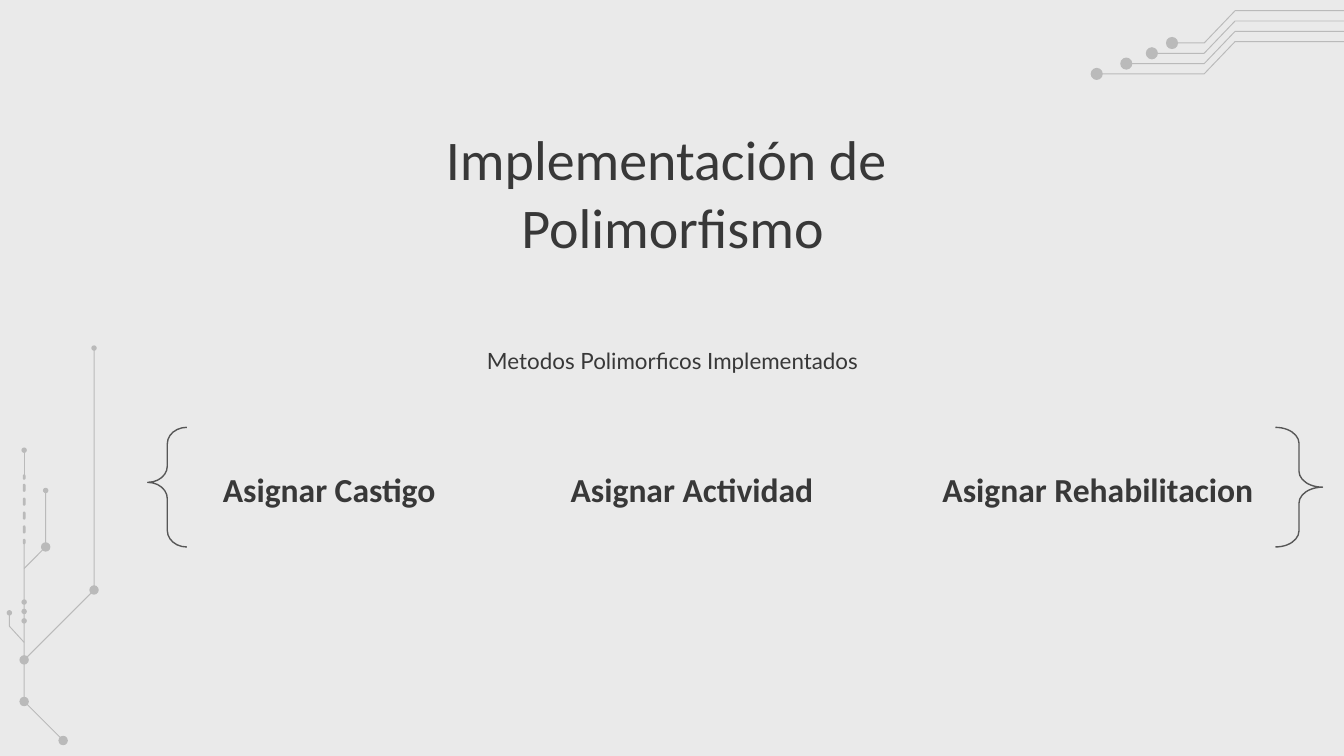
from lxml import etree
from pptx import Presentation, util as u
from pptx.dml.color import RGBColor
from pptx.enum import shapes, text
from pptx.oxml.ns import qn

INK, CIRCUIT, BRACE = "383838", "BABABA", "575757"
STEM_X = 0.18

prs = Presentation()
prs.slide_width = u.Inches(10)
prs.slide_height = u.Inches(10 * 9 / 16)
slide = prs.slides.add_slide(prs.slide_layouts[6])
slide.background.fill.solid()
slide.background.fill.fore_color.rgb = RGBColor.from_string("EAEAEA")


def paint(shape, fill=None, line=None, width=0.5):
    """Set fill and outline; None means none."""
    shape.shadow.inherit = False
    for part, color in ((shape.fill, fill), (shape.line.fill, line)):
        if color:
            part.solid()
            part.fore_color.rgb = RGBColor.from_string(color)
        else:
            part.background()
    if line:
        shape.line.width = u.Pt(width)


def add_text(content, left, top, width, height, size, font="Calibri",
             bold=False, anchor=text.MSO_ANCHOR.TOP):
    box = slide.shapes.add_textbox(*map(u.Inches, (left, top, width, height)))
    frame = box.text_frame
    frame.word_wrap = True
    frame.vertical_anchor = anchor
    frame.margin_left = frame.margin_right = u.Inches(0.1)
    frame.margin_top = frame.margin_bottom = u.Inches(0.1)
    frame.text = content
    paragraph = frame.paragraphs[0]
    paragraph.alignment = text.PP_ALIGN.CENTER
    for run in paragraph.runs:
        run.font.size, run.font.name, run.font.bold = u.Pt(size), font, bold
        run.font.color.rgb = RGBColor.from_string(INK)


# Circuit traces: bent ones as open outlines
traces = [
    [(STEM_X, 4.04), (STEM_X, 5.22), (0.47, 5.51)],
    [(0.07, 4.56), (0.07, 4.66), (STEM_X, 4.78)],
    [(0.34, 3.65), (0.34, 4.07), (STEM_X, 4.23)],
    [(0.7, 2.59), (0.7, 4.39), (STEM_X, 4.91)],
]
# Each node is (x, y, diameter)
nodes = [(x, y, 0.04) for x, y in [
    (STEM_X, 3.35), (0.07, 4.56), (0.34, 3.65), (0.7, 2.59),
    (STEM_X, 4.48), (STEM_X, 4.55), (STEM_X, 4.62)]]
nodes += [(x, y, 0.07) for x, y in [
    (0.47, 5.51), (0.34, 4.07), (STEM_X, 5.22), (0.7, 4.39), (STEM_X, 4.91)]]

for row, start_x in enumerate((8.72, 8.57, 8.38, 8.16)):
    high = 0.08 + row * 0.23 / 3
    low = high + 0.24
    traces.append([(start_x, low), (8.96, low), (9.19, high), (10, high)])
    nodes.append((start_x, low, 0.09))

for points in traces:
    corners = [(u.Inches(x), u.Inches(y)) for x, y in points]
    builder = slide.shapes.build_freeform(*corners[0])
    builder.add_line_segments(corners[1:], close=False)
    paint(builder.convert_to_shape(), line=CIRCUIT)

stem = slide.shapes.add_connector(
    shapes.MSO_CONNECTOR.STRAIGHT, u.Inches(STEM_X), u.Inches(3.35),
    u.Inches(STEM_X), u.Inches(3.54))
stem.line.width = u.Pt(0.5)
stem.line.color.rgb = RGBColor.from_string(CIRCUIT)
etree.SubElement(stem.element.spPr, qn("a:effectLst"))

# Dashed stretch of the stem, with a shorter dash at each end
dashes = [(3.53, 0.04), (4.01, 0.04)] + [(3.6 + i * 0.31 / 3, 0.06) for i in range(4)]
for top, length in dashes:
    dash = slide.shapes.add_shape(
        shapes.MSO_SHAPE.ROUNDED_RECTANGLE, u.Inches(STEM_X - 0.01),
        u.Inches(top), u.Inches(0.02), u.Inches(length))
    dash.adjustments[0] = 0.5
    paint(dash, fill=CIRCUIT)

for x, y, diameter in nodes:
    node = slide.shapes.add_shape(
        shapes.MSO_SHAPE.OVAL, u.Inches(x - diameter / 2),
        u.Inches(y - diameter / 2), u.Inches(diameter), u.Inches(diameter))
    paint(node, fill=CIRCUIT)

add_text("Implementación de \vPolimorfismo", 0.79, 0.83, 8.43, 1.27, 30)
for method, left, width in (("Asignar Castigo", 1.1, 2.7),
                            ("Asignar Actividad", 3.8, 2.7),
                            ("Asignar Rehabilitacion", 6.66, 3.02)):
    add_text(method, left, 3.37, width, 0.52, 18, bold=True,
             anchor=text.MSO_ANCHOR.BOTTOM)
add_text("Metodos Polimorficos Implementados", 3.17, 2.48, 3.67, 0.51, 12, font="Lato")

for kind, left, width, curl, tip in (
        (shapes.MSO_SHAPE.LEFT_BRACE, 1.1, 0.29, 0.42, 0.46),
        (shapes.MSO_SHAPE.RIGHT_BRACE, 9.49, 0.35, 0.34, 0.5)):
    brace = slide.shapes.add_shape(
        kind, u.Inches(left), u.Inches(3.18), u.Inches(width), u.Inches(0.89))
    brace.adjustments[0], brace.adjustments[1] = curl, tip
    paint(brace, line=BRACE, width=0.75)

prs.save("out.pptx")
